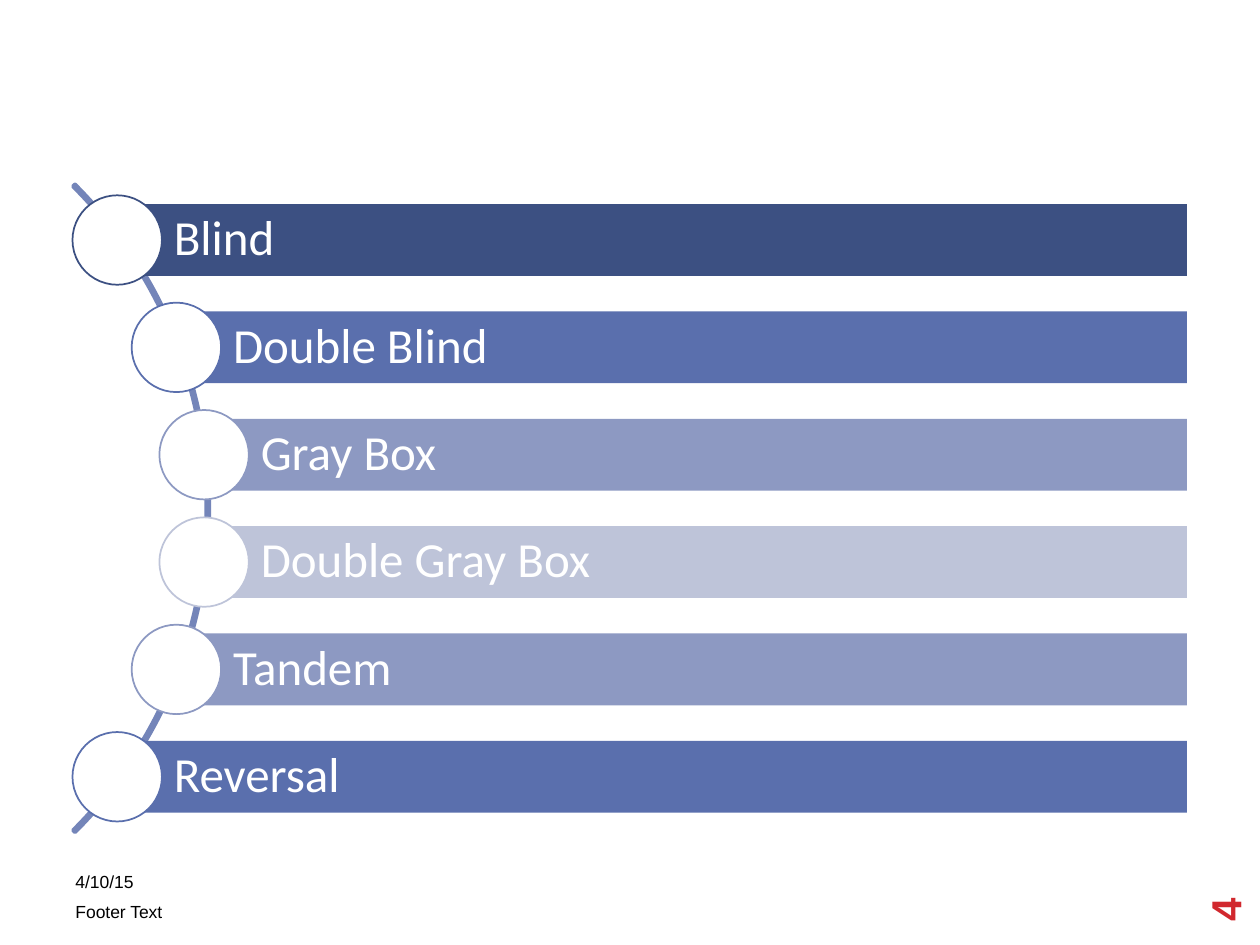
import pptx
import pptx.dml.color
import pptx.enum.shapes
import pptx.enum.text
import pptx.util

SHAPE = pptx.enum.shapes.MSO_SHAPE
ANCHOR = pptx.enum.text.MSO_ANCHOR
WIDTH, HEIGHT = 10, 7.5
FIRST_CENTRE, ROW_PITCH = 1.905, 0.852
BAR_RIGHT, BAR_HEIGHT = 9.42, 0.57
CIRCLE_SIZE, ARC_SIZE = 0.71, 7.27
INDENTS = [0.93, 1.4, 1.62]
COLOURS = {
    "arc": "7485B9", "navy": "3C5082", "blue": "5A6FAD", "lavender": "8D99C2",
    "pale": "BEC4D9", "white": "FFFFFF", "black": "000000", "red": "D1282E",
}
DESIGNS = [
    ("Blind", "navy"), ("Double Blind", "blue"), ("Gray Box", "lavender"),
    ("Double Gray Box", "pale"), ("Tandem", "lavender"), ("Reversal", "blue"),
]


def colour(name):
    """Return the named colour."""
    return pptx.dml.color.RGBColor.from_string(COLOURS[name])


def inches(*lengths):
    """Convert lengths in inches to slide units."""
    return [pptx.util.Inches(length) for length in lengths]


def write(frame, text, font, size, ink, anchor, insets, bold=False):
    """Write one left-aligned line in a text frame and return its paragraph."""
    frame.word_wrap = True
    frame.vertical_anchor = anchor
    (frame.margin_left, frame.margin_top,
     frame.margin_right, frame.margin_bottom) = inches(*insets)
    paragraph = frame.paragraphs[0]
    paragraph.alignment = pptx.enum.text.PP_ALIGN.LEFT
    run = paragraph.add_run()
    run.text = text
    run.font.name = font
    run.font.size = pptx.util.Pt(size)
    run.font.bold = bold
    run.font.color.rgb = colour(ink)
    return paragraph


def add_figure(slide, kind, box, fill=None, line=None, weight=1):
    """Add a flat preset shape with optional fill and outline."""
    figure = slide.shapes.add_shape(kind, *inches(*box))
    figure.shadow.inherit = False
    if fill:
        figure.fill.solid()
        figure.fill.fore_color.rgb = colour(fill)
    else:
        figure.fill.background()
    if line:
        figure.line.color.rgb = colour(line)
        figure.line.width = pptx.util.Pt(weight)
    else:
        figure.line.fill.background()
    return figure


def add_arc(slide):
    """Add the thin arc that links the circles."""
    middle = FIRST_CENTRE + ROW_PITCH * (len(DESIGNS) - 1) / 2
    box = (-5.61, middle - ARC_SIZE / 2, ARC_SIZE, ARC_SIZE)
    arc = add_figure(slide, SHAPE.BLOCK_ARC, box, line="arc", weight=2.25)
    for index, value in enumerate((189, 27, 0.003)):
        arc.adjustments[index] = value


def add_design(slide, row, label, tone):
    """Add one labelled bar and the circle centred on its left end."""
    left = INDENTS[min(row, len(DESIGNS) - 1 - row)]
    centre = FIRST_CENTRE + row * ROW_PITCH
    bar = add_figure(
        slide, SHAPE.RECTANGLE,
        (left, centre - BAR_HEIGHT / 2, BAR_RIGHT - left, BAR_HEIGHT), fill=tone)
    paragraph = write(bar.text_frame, label, "Calibri", 28, "white",
                      ANCHOR.MIDDLE, (0.45, 0.08, 0.08, 0.08))
    paragraph.line_spacing = 0.9
    radius = CIRCLE_SIZE / 2
    add_figure(slide, SHAPE.OVAL,
               (left - radius, centre - radius, CIRCLE_SIZE, CIRCLE_SIZE),
               fill="white", line=tone)


def add_note(slide, box, text, size, ink, anchor, insets, bold=False, rotation=0):
    """Add one text box of the slide's footer."""
    note = slide.shapes.add_textbox(*inches(*box))
    note.rotation = rotation
    write(note.text_frame, text, "Arial", size, ink, anchor, insets, bold)


def main():
    """Build and save the slide."""
    deck = pptx.Presentation()
    deck.slide_width, deck.slide_height = inches(WIDTH, HEIGHT)
    slide = deck.slides.add_slide(deck.slide_layouts[6])
    add_arc(slide)
    for row, (label, tone) in enumerate(DESIGNS):
        add_design(slide, row, label, tone)
    add_note(slide, (0.5, 6.75, 3.75, 0.33), "4/10/15", 10, "black",
             ANCHOR.BOTTOM, (0.1, 0.05, 0.1, 0))
    add_note(slide, (0.5, 7.1, 3.75, 0.31), "Footer Text", 10, "black",
             ANCHOR.TOP, (0.1, 0.05, 0.1, 0.05))
    add_note(slide, (9, 6.44, 1.44, 0.4), "4", 24, "red", ANCHOR.MIDDLE,
             (0.05, 0.1, 0.05, 0.1), bold=True, rotation=270)
    deck.save("out.pptx")


if __name__ == "__main__":
    main()
